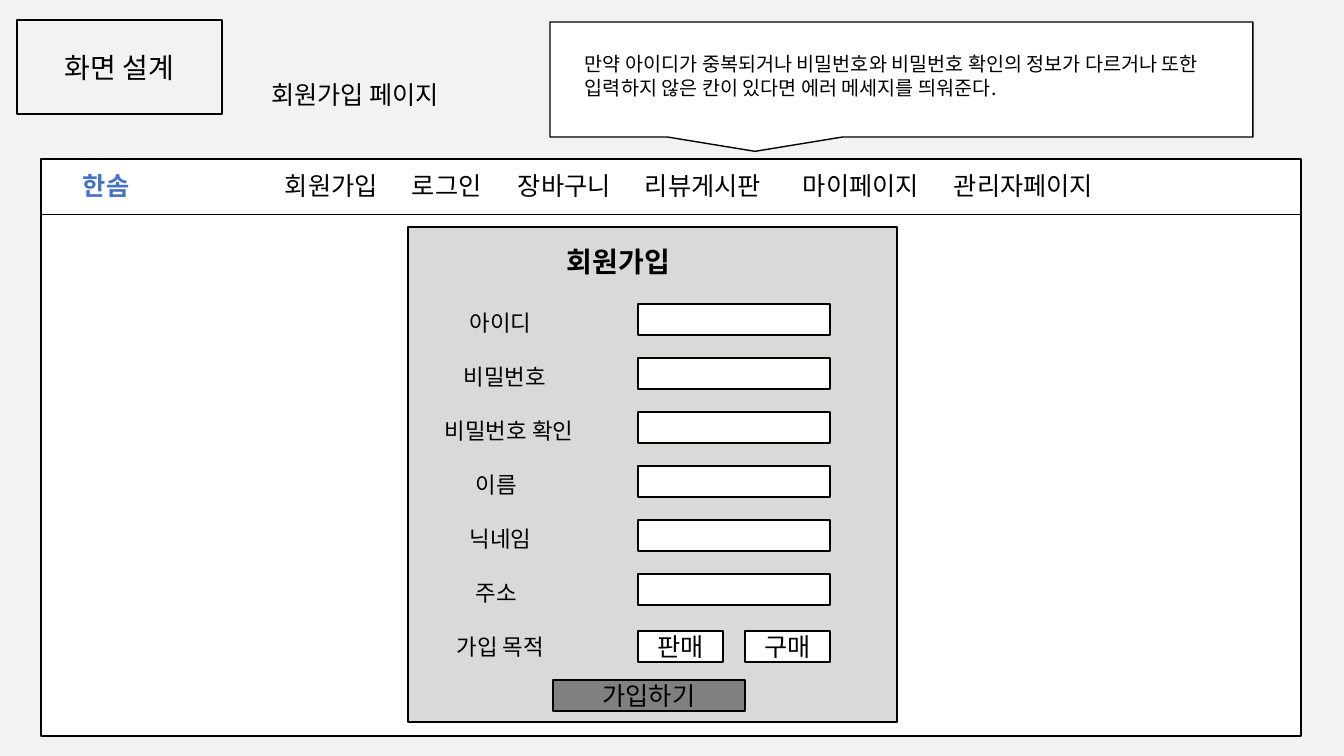
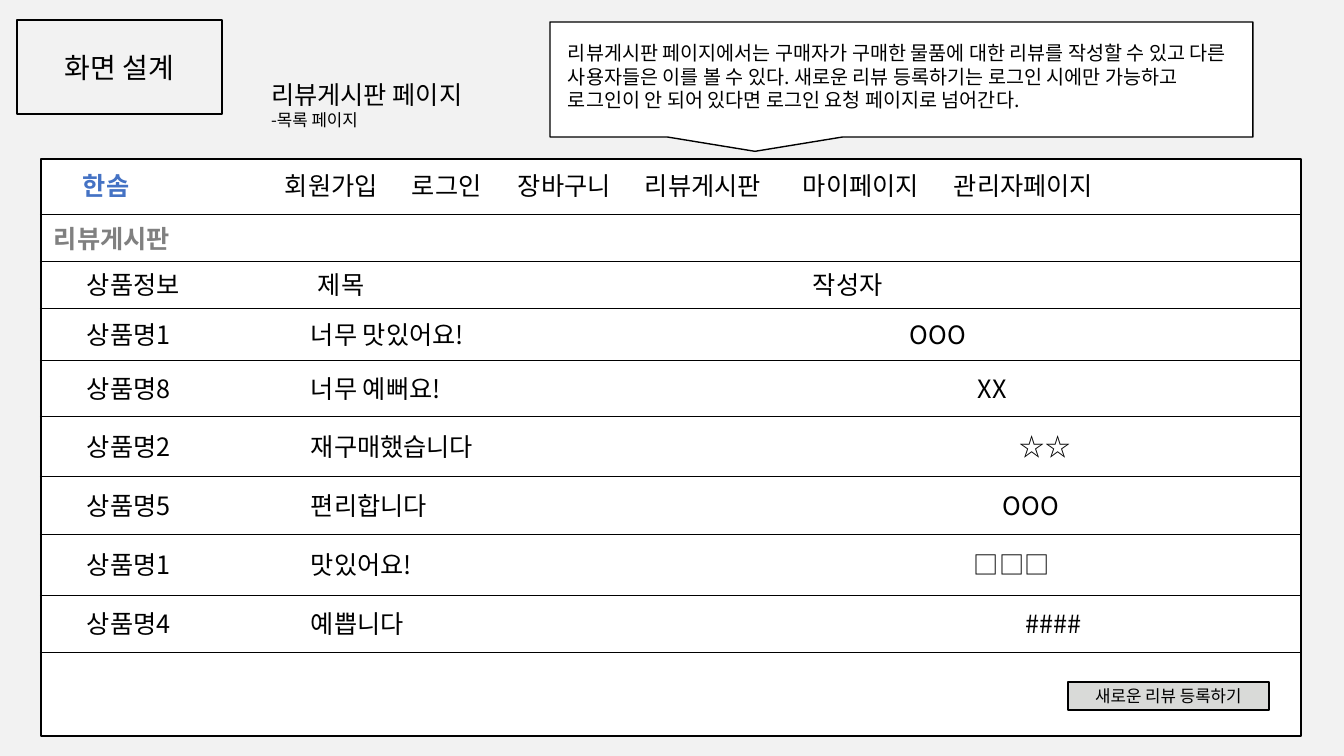
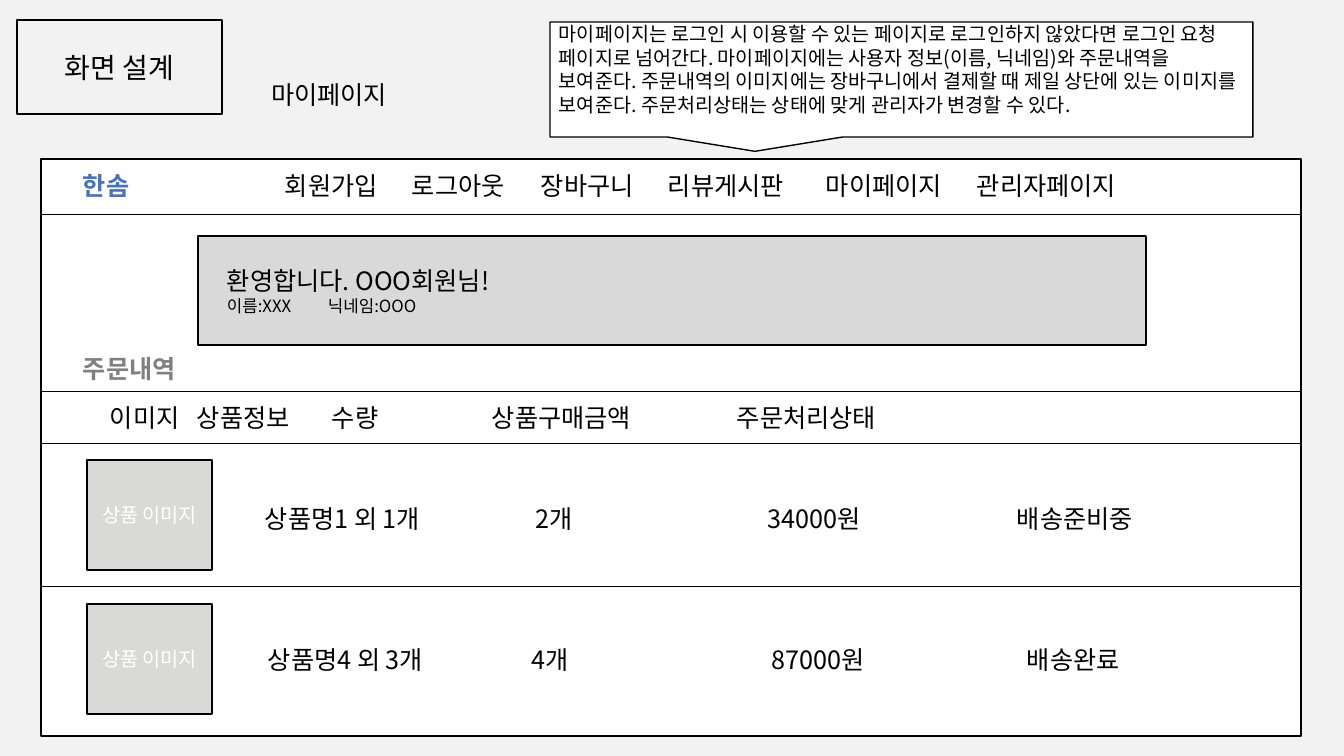
from itertools import pairwise
from lxml import etree
from pptx import Presentation
from pptx.dml.color import RGBColor
from pptx.enum.shapes import MSO_CONNECTOR, MSO_SHAPE
from pptx.enum.text import MSO_ANCHOR, MSO_AUTO_SIZE, PP_ALIGN
from pptx.oxml.ns import qn
from pptx.util import Pt

PX = 914400 / 100.8
FONT = "Noto Sans CJK KR"
BLACK, WHITE, GRAY, PANEL = "000000", "FFFFFF", "808080", "D9DAD8"
PAGE, BRAND = "F2F2F2", "4472C4"
INSET = 10  # left text inset of a box
LINE = 40  # height of a one-line box


def write(shape, text, size=18, color=BLACK, bold=False, align=PP_ALIGN.LEFT, stops=()):
    """Fill a shape with text: later paragraphs are 12 pt, stops are slide x positions."""
    frame = shape.text_frame
    frame.word_wrap = True
    frame.auto_size = MSO_AUTO_SIZE.NONE
    frame.text = text
    for index, paragraph in enumerate(frame.paragraphs):
        paragraph.alignment = align
        if stops:
            tabs = etree.SubElement(paragraph._p.get_or_add_pPr(), qn("a:tabLst"))
            for x in stops:
                offset = round((x - INSET) * PX) - shape.left
                etree.SubElement(tabs, qn("a:tab"), pos=str(offset), algn="l")
        font = paragraph.font
        font.name, font.bold = FONT, bold
        font.size = Pt(12 if index else size)
        font.color.rgb = RGBColor.from_string(color)
        etree.SubElement(font._element, qn("a:ea"), typeface=FONT)


def put(slide, at, text="", fill=None, line=1, kind=MSO_SHAPE.RECTANGLE, **style):
    """Add an outlined shape with centred text, or a plain text box when kind is None."""
    box = [round(length * PX) for length in at]
    if kind is None:
        shape = slide.shapes.add_textbox(*box)
    else:
        shape = slide.shapes.add_shape(kind, *box)
        shape.shadow.inherit = False
        shape.line.color.rgb = RGBColor.from_string(BLACK)
        shape.line.width = Pt(line)
        if fill:
            shape.fill.solid()
            shape.fill.fore_color.rgb = RGBColor.from_string(fill)
        else:
            shape.fill.background()
        shape.text_frame.vertical_anchor = MSO_ANCHOR.MIDDLE
        style = {"align": PP_ALIGN.CENTER} | style
    if text:
        write(shape, text, **style)
    return shape


prs = Presentation()
prs.slide_width, prs.slide_height = round(1344 * PX), round(756 * PX)
background = prs.slide_master.background.fill
background.solid()
background.fore_color.rgb = RGBColor.from_string(PAGE)

# Page title, callout text, callout padding, second menu item, rule heights
REVIEW_RULES = [214, 261, 308, 360, 416, 476, 534, 595, 652]
pages = [
    ("회원가입 페이지",
     "만약 아이디가 중복되거나 비밀번호와 비밀번호 확인의 정보가 다르거나 또한 "
     "입력하지 않은 칸이 있다면 에러 메세지를 띄워준다.",
     (35, 30), "로그인", [214]),
    ("리뷰게시판 페이지\n-목록 페이지",
     "리뷰게시판 페이지에서는 구매자가 구매한 물품에 대한 리뷰를 작성할 수 있고 "
     "다른 사용자들은 이를 볼 수 있다. 새로운 리뷰 등록하기는 로그인 시에만 "
     "가능하고 로그인이 안 되어 있다면 로그인 요청 페이지로 넘어간다.",
     (18, 19), "로그인", REVIEW_RULES),
    ("마이페이지",
     "마이페이지는 로그인 시 이용할 수 있는 페이지로 로그인하지 않았다면 로그인 요청 "
     "페이지로 넘어간다. 마이페이지에는 사용자 정보(이름, 닉네임)와 주문내역을 "
     "보여준다. 주문내역의 이미지에는 장바구니에서 결제할 때 제일 상단에 있는 "
     "이미지를 보여준다. 주문처리상태는 상태에 맞게 관리자가 변경할 수 있다.",
     (9, 0), "로그아웃", [214, 391, 443, 586]),
]

# Shared frame of every page
slides = []
for title, note, (pad_x, pad_y), login, rules in pages:
    slide = prs.slides.add_slide(prs.slide_layouts[5])
    slides.append(slide)
    heading = slide.shapes.title
    heading.left, heading.top = round(261 * PX), round(74 * PX)
    heading.width, heading.height = round(367 * PX), round(61 * PX)
    heading.text_frame.vertical_anchor = MSO_ANCHOR.TOP
    write(heading, title)

    put(slide, (17, 20, 205, 94), "화면 설계", line=2, size=20)
    put(slide, (41, 159, 1260, 577), fill=WHITE)
    callout = put(slide, (550, 22, 703, 115), note, WHITE, size=14,
                  kind=MSO_SHAPE.RECTANGULAR_CALLOUT, align=PP_ALIGN.LEFT)
    frame = callout.text_frame
    frame.vertical_anchor = MSO_ANCHOR.TOP
    frame.margin_left = frame.margin_right = round(pad_x * PX)
    frame.margin_top, frame.margin_bottom = round(pad_y * PX), 0

    for y in rules:
        rule = slide.shapes.add_connector(
            MSO_CONNECTOR.STRAIGHT, *[round(n * PX) for n in (40, y, 1302, y)])
        rule.line.color.rgb = RGBColor.from_string(BLACK)
        rule.line.width = Pt(0.5)
        etree.SubElement(rule._element.spPr, qn("a:effectLst"))

    shift = 23 if login == "로그아웃" else 0
    stops = [285, 412] + [x + shift for x in (518, 645, 803, 954)]
    menu = put(slide, (73, 165, 1228, LINE), "한솜", kind=None, stops=stops)
    paragraph = menu.text_frame.paragraphs[0]
    brand = paragraph.runs[0].font
    brand.bold = True
    brand.color.rgb = RGBColor.from_string(BRAND)
    paragraph.add_run().text = "\t" + "\t".join(
        ["회원가입", login, "장바구니", "리뷰게시판", "마이페이지", "관리자페이지"])

signup, reviews, my_page = slides

# Sign-up form
put(signup, (408, 227, 489, 495), fill=PANEL)
put(signup, (557, 240, 200, 44), "회원가입", kind=None, size=20, bold=True)
fields = [("아이디", 470), ("비밀번호", 464), ("비밀번호 확인", 445), ("이름", 476),
          ("닉네임", 470), ("주소", 476), ("가입 목적", 457)]
for index, (label, x) in enumerate(fields):
    y = 304 + 54 * index
    put(signup, (x - INSET, y, 170, 35), label, kind=None, size=16)
    if label != "가입 목적":
        put(signup, (638, y, 192, 31), fill=WHITE)
for x, purpose in [(638, "판매"), (745, "구매")]:
    put(signup, (x, 631, 85, 31), purpose, WHITE)
put(signup, (553, 680, 192, 31), "가입하기", GRAY)

# Review list
put(reviews, (44, 218, 232, LINE), "리뷰게시판", kind=None, color=GRAY, bold=True)
review_rows = [
    ("상품정보", "제목", 318, "작성자", 813),
    ("상품명1", "너무 맛있어요!", 311, "OOO", 910),
    ("상품명8", "너무 예뻐요!", 311, "XX", 978),
    ("상품명2", "재구매했습니다", 311, "☆☆", 1020),
    ("상품명5", "편리합니다", 311, "OOO", 1003),
    ("상품명1", "맛있어요!", 311, "□□□", 974),
    ("상품명4", "예쁩니다", 311, "####", 1026),
]
for (above, below), row in zip(pairwise(REVIEW_RULES[1:]), review_rows):
    product, subject, subject_x, writer, writer_x = row
    put(reviews, (77, (above + below - LINE) // 2, 1187, LINE),
        f"{product}\t{subject}\t{writer}", kind=None, stops=[subject_x, writer_x])
put(reviews, (1068, 682, 201, 28), "새로운 리뷰 등록하기", PANEL, size=12)

# Orders of the member
put(my_page, (198, 236, 948, 109), fill="D9D9D9")
put(my_page, (217, 260, 905, 61), "환영합니다. OOO회원님!\n이름:XXX\t닉네임:OOO",
    kind=None, stops=[328])
put(my_page, (73, 348, 232, LINE), "주문내역", kind=None, color=GRAY, bold=True)
put(my_page, (100, 397, 1187, LINE), "이미지\t상품정보\t수량\t상품구매금액\t주문처리상태",
    kind=None, stops=[197, 332, 492, 737])
orders = [
    (460, 498, 265, "상품명1 외 1개\t2개\t34000원\t배송준비중", [536, 768, 1017]),
    (604, 639, 268, "상품명4 외 3개\t4개\t87000원\t배송완료", [532, 772, 1027]),
]
for image_y, text_y, x, order, stops in orders:
    put(my_page, (87, image_y, 125, 110), "상품 이미지", PANEL, size=14, color=WHITE)
    put(my_page, (x - INSET, text_y, 1027, LINE), order, kind=None, stops=stops)

prs.save("out.pptx")
